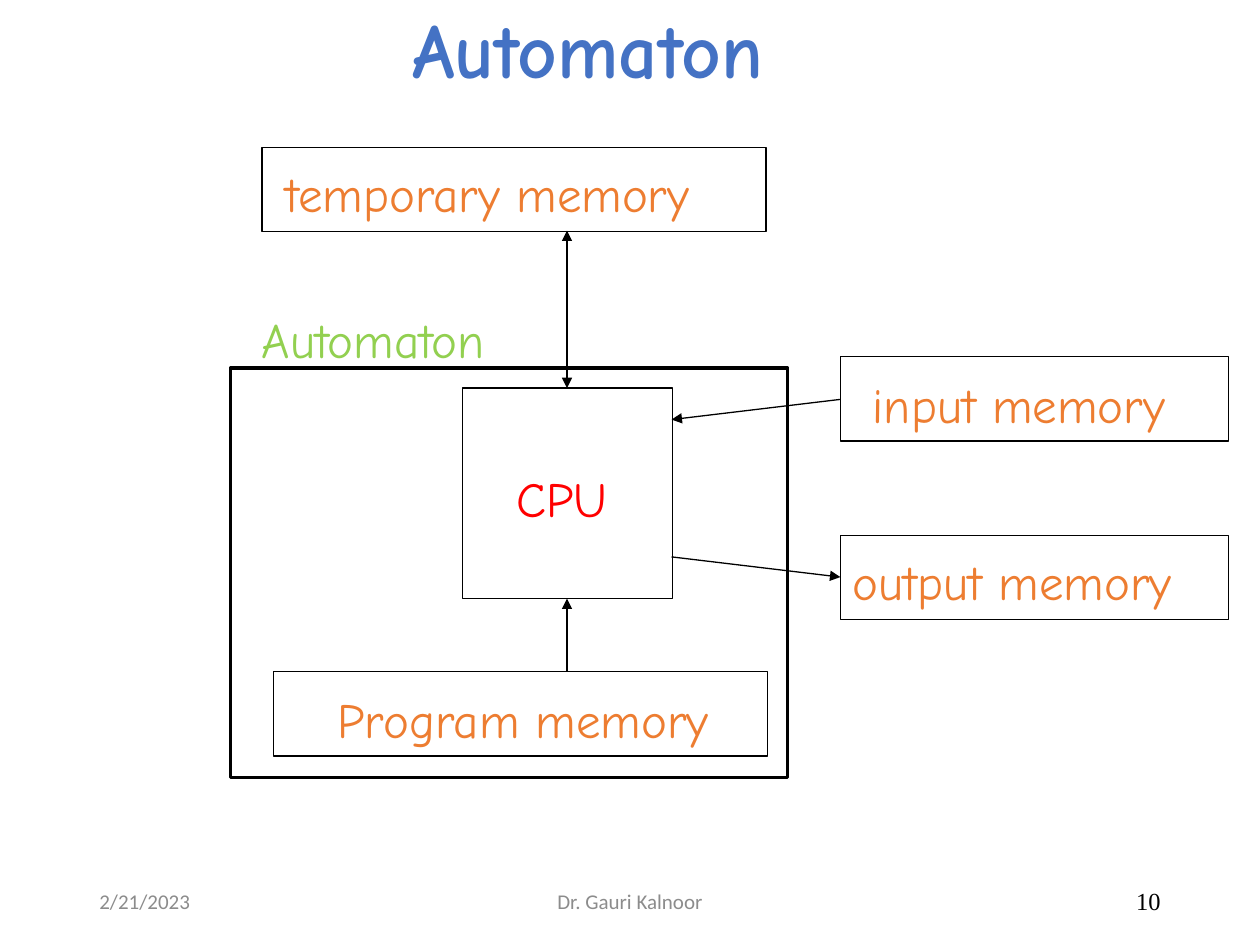
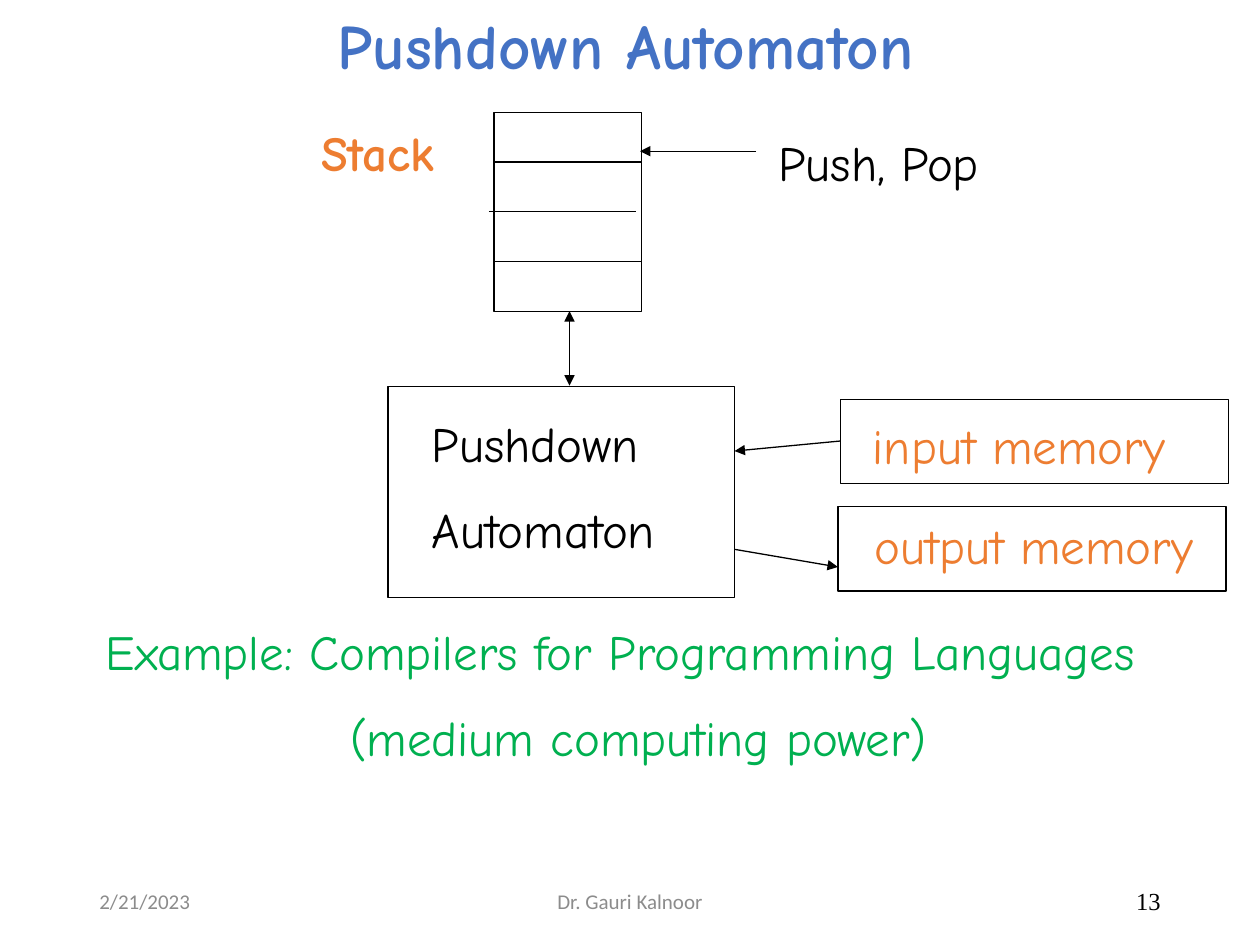
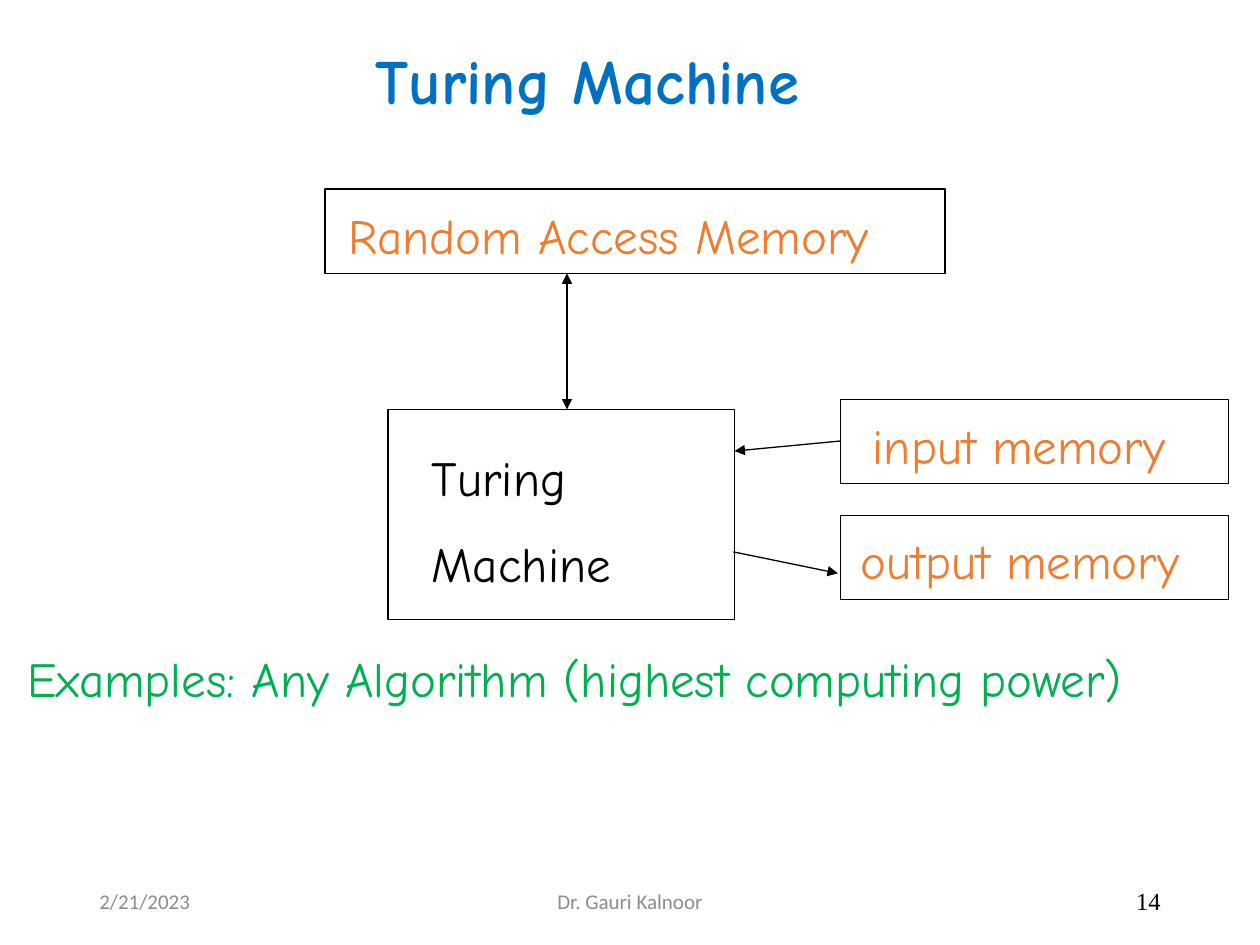
from pptx import Presentation
from pptx.dml.color import RGBColor
from pptx.enum.shapes import MSO_CONNECTOR, MSO_SHAPE
from pptx.enum.text import MSO_ANCHOR, MSO_AUTO_SIZE, PP_ALIGN
from pptx.oxml.ns import qn
from pptx.util import Inches, Pt
from lxml import etree

RECTANGLE = MSO_SHAPE.RECTANGLE
STRAIGHT = MSO_CONNECTOR.STRAIGHT
TOP, MIDDLE = MSO_ANCHOR.TOP, MSO_ANCHOR.MIDDLE
LEFT, CENTER, RIGHT = PP_ALIGN.LEFT, PP_ALIGN.CENTER, PP_ALIGN.RIGHT
FIXED = MSO_AUTO_SIZE.NONE
TITLE_ONLY = 5

THEME = {
    "black": "000000", "blue": "4472C4", "deep blue": "0070C0",
    "orange": "ED7D31", "red": "FF0000", "lime": "92D050",
    "green": "00B050", "grey": "8C8C8C",
    "hand": "Comic Neue", "plain": "Calibri", "serif": "Times New Roman",
    "body size": 28, "footer size": 12, "number size": 14,
    "thin": 0.75, "thick": 2, "paragraph gap": 16,
}

MEMORY_SIZE = (3.08, 0.67)
MACHINE_SIZE = (2.75, 1.67)
STACK = (3.92, 0.89, 1.17, 1.58)
STACK_ROWS = 4
STACK_SHIFTS = (0, -0.04, 0)
FOOTER_TOP, FOOTER_HEIGHT = 6.95, 0.4
DATE, AUTHOR = "2/21/2023", "Dr. Gauri Kalnoor"

# PAGES
PAGES = [
    {
        "number": "10",
        "title": ("Automaton", (3.17, -0.04, 3.35, 0.84), 44, "blue"),
        "boxes": [
            ((3.67, 3.08, 1.67, 1.67), "thin"),
            ((2.08, 1.17, 4, 0.67), "thin"),
            ((6.67, 2.83, *MEMORY_SIZE), "thin"),
            ((6.67, 4.25, *MEMORY_SIZE), "thin"),
            ((2.17, 5.33, 3.92, 0.67), "thin"),
            ((1.83, 2.92, 4.42, 3.25), "thick"),
        ],
        "labels": [
            (["CPU"], (4, 3.67, 0.93, 0.57), {"color": "red"}),
            (["input memory"], (6.83, 2.92, 2.64, 0.57), {"color": "orange"}),
            (["output memory"], (6.67, 4.33, 2.91, 0.57), {"color": "orange"}),
            (["Program memory"], (2.58, 5.42, 3.22, 0.57), {"color": "orange"}),
            (["temporary memory"], (2.17, 1.25, 3.62, 0.57), {"color": "orange"}),
            (["Automaton"], (1.98, 2.41, 2.17, 0.57), {"color": "lime"}),
        ],
        "arrows": [
            ((4.5, 1.83), (4.5, 3.08), ("head", "tail")),
            ((5.33, 3.33), (6.67, 3.17), ("head",)),
            ((5.33, 4.42), (6.67, 4.58), ("tail",)),
            ((4.5, 4.75), (4.5, 5.33), ("head",)),
        ],
    },
    {
        "number": "13",
        "title": ("Pushdown Automaton", (2.58, 0, 5.24, 0.71), 36, "blue"),
        "boxes": [
            ((6.67, 3.17, *MEMORY_SIZE), "thin"),
            ((6.65, 4.02, *MEMORY_SIZE), "thin"),
            ((3.08, 3.07, *MACHINE_SIZE), "thin"),
            (STACK, "thin"),
        ],
        "labels": [
            (["input memory"], (6.83, 3.25, 2.64, 0.57), {"color": "orange"}),
            (["output memory"], (6.84, 4.04, 2.91, 0.57), {"color": "orange"}),
            (["Stack"], (2.45, 0.92, 1.33, 0.57), {"color": "orange", "bold": True}),
            (["Pushdown", "Automaton"], (3.33, 3.23, 2.17, 1.27), {}),
            (["Example: Compilers for Programming Languages",
              "(medium computing power)"],
             (0.74, 4.88, 9.26, 1.27), {"color": "green", "indents": (0, 1.94)}),
            (["Push, Pop"], (6.08, 1, 1.86, 0.57), {}),
        ],
        "arrows": [
            ((4.52, 2.47), (4.52, 3.06), ("head", "tail")),
            ((5.83, 3.58), (6.67, 3.5), ("head",)),
            ((5.83, 4.36), (6.65, 4.5), ("tail",)),
            ((6, 1.2), (5.08, 1.2), ("tail",)),
        ],
        "stack": STACK,
    },
    {
        "number": "14",
        "title": ("Turing Machine", (2.88, 0.28, 3.92, 0.71), 36, "deep blue"),
        "boxes": [
            ((2.58, 1.5, 4.92, 0.67), "thin"),
            ((6.67, 3.17, *MEMORY_SIZE), "thin"),
            ((6.67, 4.09, *MEMORY_SIZE), "thin"),
            ((3.08, 3.25, *MACHINE_SIZE), "thin"),
        ],
        "labels": [
            (["input memory"], (6.83, 3.25, 2.64, 0.57), {"color": "orange"}),
            (["output memory"], (6.73, 4.16, 2.91, 0.57), {"color": "orange"}),
            (["Random Access Memory"], (2.67, 1.58, 4.67, 0.57), {"color": "orange"}),
            (["Turing", "Machine"], (3.33, 3.5, 1.69, 1.27), {}),
            (["Examples: Any Algorithm (highest computing power)"],
             (0.12, 5.1, 9.88, 0.57), {"color": "green"}),
        ],
        "arrows": [
            ((4.5, 2.17), (4.5, 3.25), ("head", "tail")),
            ((5.83, 3.58), (6.67, 3.5), ("head",)),
            ((5.82, 4.38), (6.65, 4.55), ("tail",)),
        ],
    },
]


def color_of(name):
    return RGBColor.from_string(THEME[name])


def set_all(target, values):
    for name, value in values.items():
        setattr(target, name, value)


def write(box, lines, color="black", size=THEME["body size"], font="hand",
          bold=False, align=LEFT, anchor=TOP, indents=None):
    frame = box.text_frame
    set_all(frame, {
        "word_wrap": True, "auto_size": FIXED, "vertical_anchor": anchor,
        "margin_left": Inches(0.1), "margin_right": Inches(0.1),
        "margin_top": Inches(0.05), "margin_bottom": Inches(0.05),
    })
    for index, line in enumerate(lines):
        para = frame.add_paragraph() if index else frame.paragraphs[0]
        para.alignment = align
        if index:
            para.space_before = Pt(THEME["paragraph gap"])
        if indents and indents[index]:
            para._p.get_or_add_pPr().set("marL", str(Inches(indents[index])))
        span = para.add_run()
        span.text = line
        set_all(span.font, {"name": THEME[font], "size": Pt(size), "bold": bold})
        span.font.color.rgb = color_of(color)


def add_title(page, text, place, size, color):
    title = page.shapes.title
    set_all(title, dict(zip(("left", "top", "width", "height"), map(Inches, place))))
    write(title, [text], color=color, size=size, bold=True)


def add_label(page, lines, place, style):
    write(page.shapes.add_textbox(*map(Inches, place)), lines, **style)


def add_box(page, place, weight):
    box = page.shapes.add_shape(RECTANGLE, *map(Inches, place))
    box.shadow.inherit = False
    box.fill.background()
    box.line.color.rgb = color_of("black")
    box.line.width = Pt(THEME[weight])


def add_line(page, start, end, ends=()):
    line = page.shapes.add_connector(STRAIGHT, *map(Inches, (*start, *end)))
    line.line.color.rgb = color_of("black")
    line.line.width = Pt(THEME["thin"])
    outline = line.line._get_or_add_ln()
    for side in ends:
        etree.SubElement(outline, qn(f"a:{side}End"), type="triangle")
    etree.SubElement(line._element.spPr, qn("a:effectLst"))


def add_stack_rows(page, left, top, width, height):
    for row, shift in enumerate(STACK_SHIFTS, 1):
        y = top + height * row / STACK_ROWS
        add_line(page, (left + shift, y), (left + shift + width, y))


def add_footer(page, number):
    small = {"color": "grey", "size": THEME["footer size"], "font": "plain"}
    large = {"size": THEME["number size"], "font": "serif"}
    for text, left, width, align, style in (
        (DATE, 0.69, 2.25, LEFT, small),
        (AUTHOR, 3.31, 3.38, CENTER, small),
        (number, 7.06, 2.25, RIGHT, large),
    ):
        add_label(page, [text], (left, FOOTER_TOP, width, FOOTER_HEIGHT),
                  {**style, "align": align, "anchor": MIDDLE})


deck = Presentation()
deck.slide_width, deck.slide_height = Inches(10), Inches(7.5)
for content in PAGES:
    page = deck.slides.add_slide(deck.slide_layouts[TITLE_ONLY])
    add_title(page, *content["title"])
    for box in content["boxes"]:
        add_box(page, *box)
    for label in content["labels"]:
        add_label(page, *label)
    for arrow in content["arrows"]:
        add_line(page, *arrow)
    if "stack" in content:
        add_stack_rows(page, *content["stack"])
    add_footer(page, content["number"])
deck.save("out.pptx")
